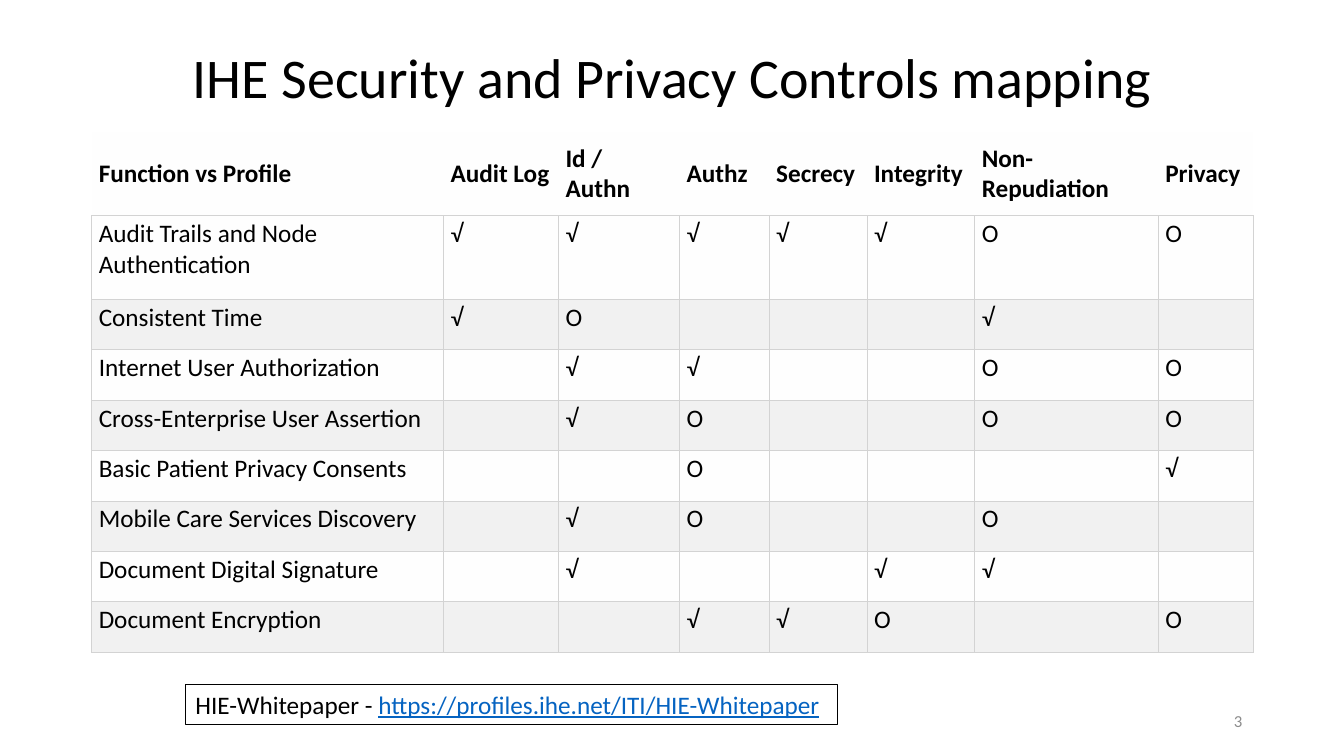
from lxml import etree
from pptx import Presentation
from pptx.dml.color import RGBColor
from pptx.enum.shapes import MSO_SHAPE as Shape
from pptx.enum.text import MSO_ANCHOR as Anchor, PP_ALIGN as Align
from pptx.oxml.ns import qn
from pptx.util import Inches, Pt

FONT = "Calibri"
BLACK, GRID, LINK, MUTED = "000000", "D3D3D3", "0563C1", "8C8C8C"
LIGHT_ROW, DARK_ROW = "FEFEFE", "F1F1F1"
NO_STYLE = "{2D5ABB26-0587-4C30-8999-92F81FD0307C}"

COLUMN_WIDTHS = [3.49, 1.14, 1.2, 0.89, 0.97, 1.07, 1.82, 0.94]
ROW_HEIGHTS = [0.83] * 2 + [0.5] * 7
HEADINGS = ["Function vs Profile", "Audit Log", "Id / Authn", "Authz",
            "Secrecy", "Integrity", "Non-Repudiation", "Privacy"]
# One mark per control; a dot leaves the cell empty
PROFILES = [
    ("Audit Trails and Node Authentication", "√√√√√OO"),
    ("Consistent Time", "√O...√."),
    ("Internet User Authorization", ".√√..OO"),
    ("Cross-Enterprise User Assertion", ".√O..OO"),
    ("Basic Patient Privacy Consents", "..O...√"),
    ("Mobile Care Services Discovery", ".√O..O."),
    ("Document Digital Signature", ".√..√√."),
    ("Document Encryption", "..√√O.O"),
]


def color(value):
    return RGBColor.from_string(value)


def place(shape, left, top, width, height):
    shape.left, shape.top = Inches(left), Inches(top)
    shape.width, shape.height = Inches(width), Inches(height)


def add_span(para, text, size=18, fill=BLACK, bold=False, underline=False):
    span = para.add_run()
    span.text = text
    font = span.font
    font.name, font.size = FONT, Pt(size)
    font.bold, font.underline = bold, underline
    font.color.rgb = color(fill)


def set_border(cell, side, value):
    """Draw one side of a cell, or hide it when value is None."""
    properties = cell._tc.get_or_add_tcPr()
    line = etree.SubElement(properties, qn(f"a:ln{side}"), w=str(Pt(0.6)))
    if value is None:
        etree.SubElement(line, qn("a:noFill"))
    else:
        solid = etree.SubElement(line, qn("a:solidFill"))
        etree.SubElement(solid, qn("a:srgbClr"), val=value)


def fill_cell(cell, text, header, background):
    cell.margin_left = cell.margin_right = Inches(0.07)
    cell.margin_top = cell.margin_bottom = Inches(0.03)
    cell.vertical_anchor = Anchor.MIDDLE if header else Anchor.TOP
    for side in "LRTB":
        set_border(cell, side, None if header and side != "B" else GRID)
    cell.fill.solid()
    cell.fill.fore_color.rgb = color(background)
    if text != ".":
        add_span(cell.text_frame.paragraphs[0], text, bold=header)


def add_title(page, text):
    title = page.shapes.title
    place(title, 1.1, 0.19, 11.13, 1.22)
    title.text_frame.vertical_anchor = Anchor.MIDDLE
    para = title.text_frame.paragraphs[0]
    para.alignment, para.line_spacing = Align.CENTER, 0.9
    add_span(para, text, size=40)


def add_mapping(page):
    rows = [HEADINGS] + [[name, *marks] for name, marks in PROFILES]
    frame = page.shapes.add_table(
        len(rows), len(HEADINGS), Inches(0.91), Inches(1.31),
        Inches(sum(COLUMN_WIDTHS)), Inches(sum(ROW_HEIGHTS)))
    table = frame.table
    table._tbl.tblPr.find(qn("a:tableStyleId")).text = NO_STYLE
    table.horz_banding = False
    for column, width in zip(table.columns, COLUMN_WIDTHS):
        column.width = Inches(width)
    for row, height in zip(table.rows, ROW_HEIGHTS):
        row.height = Inches(height)
    for index, texts in enumerate(rows):
        shaded = index > 0 and index % 2 == 0
        background = DARK_ROW if shaded else LIGHT_ROW
        for cell, text in zip(table.rows[index].cells, texts):
            fill_cell(cell, text, index == 0, background)


def add_reference(page, label, address):
    box = page.shapes.add_shape(Shape.RECTANGLE, Inches(1.84), Inches(6.79),
                                Inches(6.47), Inches(0.4))
    box.shadow.inherit = False
    box.fill.background()
    box.line.color.rgb = color(BLACK)
    box.line.width = Pt(0.75)
    box.text_frame.vertical_anchor = Anchor.TOP
    para = box.text_frame.paragraphs[0]
    para.alignment = Align.LEFT
    add_span(para, label)
    add_span(para, address, fill=LINK, underline=True)


def add_page_number(page, number):
    box = page.shapes.add_textbox(Inches(9.42), Inches(6.95), Inches(3), Inches(0.4))
    box.text_frame.word_wrap = True
    box.text_frame.vertical_anchor = Anchor.MIDDLE
    para = box.text_frame.paragraphs[0]
    para.alignment, para.space_after = Align.RIGHT, Pt(6)
    add_span(para, number, size=12, fill=MUTED)


def main():
    deck = Presentation()
    deck.slide_width, deck.slide_height = Inches(13.33), Inches(7.5)
    page = deck.slides.add_slide(deck.slide_layouts[5])

    # Title and page number
    add_title(page, "IHE Security and Privacy Controls mapping")
    add_page_number(page, "3")

    # Profiles against controls
    add_mapping(page)

    # Source of the mapping
    add_reference(page, "HIE-Whitepaper - ",
                  "https://profiles.ihe.net/ITI/HIE-Whitepaper")
    deck.save("out.pptx")


if __name__ == "__main__":
    main()
